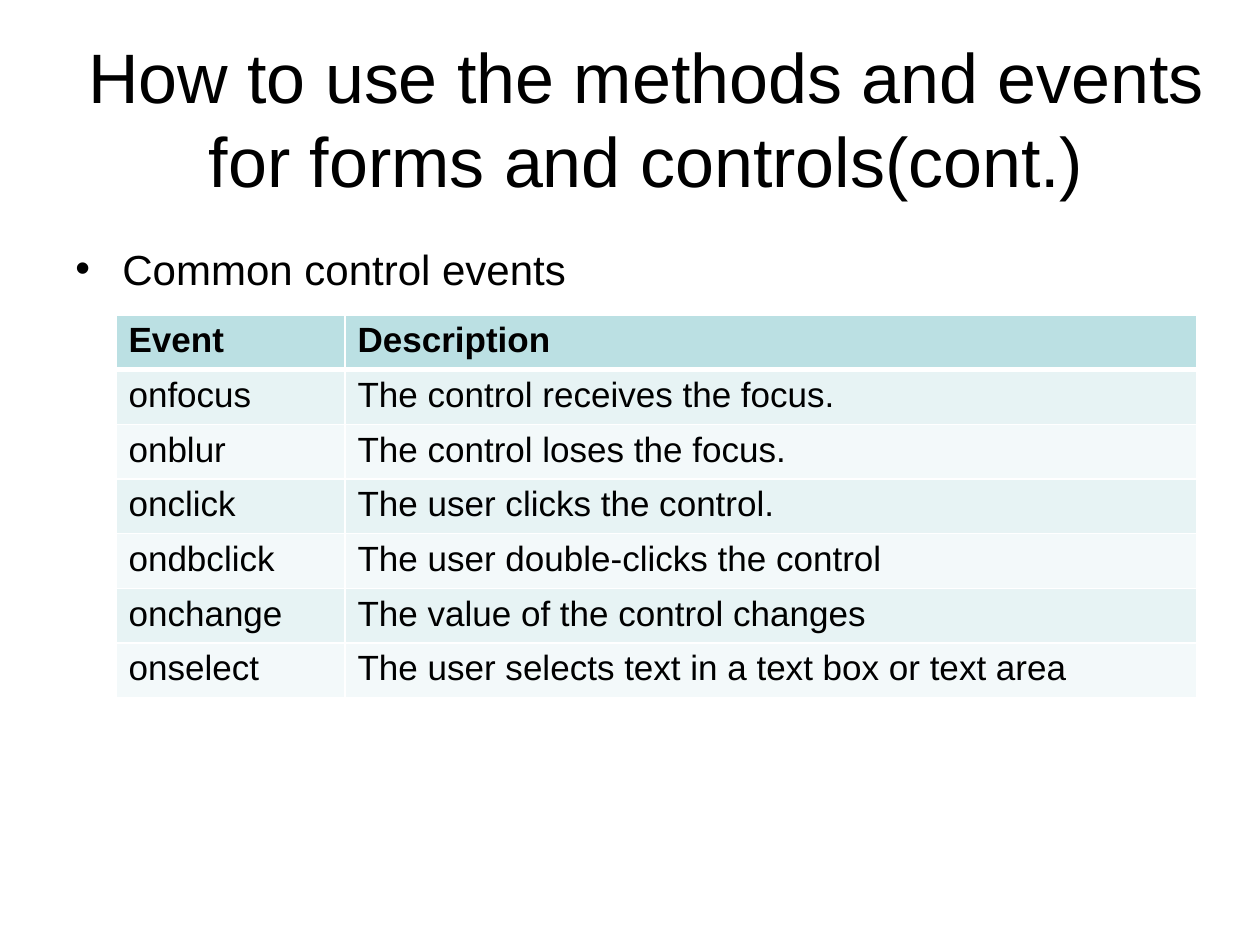
from lxml import etree
from pptx import Presentation
from pptx import util as u
from pptx.dml.color import RGBColor
from pptx.enum import text
from pptx.oxml import ns

PX_PER_INCH = 126
FONT = "Arial"
BLACK = RGBColor(0x00, 0x00, 0x00)
WHITE = RGBColor(0xFF, 0xFF, 0xFF)
HEADER_FILL = RGBColor(0xBB, 0xE0, 0xE3)
BAND_FILLS = (RGBColor(0xF3, 0xF9, 0xFA), RGBColor(0xE7, 0xF3, 0xF4))

TITLE = "How to use the methods and events for forms and controls(cont.)"
EVENTS = [
    ("Event", "Description"),
    ("onfocus", "The control receives the focus."),
    ("onblur", "The control loses the focus."),
    ("onclick", "The user clicks the control."),
    ("ondbclick", "The user double-clicks the control"),
    ("onchange", "The value of the control changes"),
    ("onselect", "The user selects text in a text box or text area"),
]
COLUMN_WIDTHS = (229, 852)
ROW_HEIGHT = 52


def px(length):
    return u.Emu(round(length * u.Inches(1) / PX_PER_INCH))


def format_runs(paragraph, size, bold=False):
    for run in paragraph.runs:
        run.font.name = FONT
        run.font.size = u.Pt(size)
        run.font.bold = bold
        run.font.color.rgb = BLACK


def add_text(slide, box, content, size, anchor=text.MSO_ANCHOR.TOP):
    """Add a wrapped text box and return its paragraph."""
    frame = slide.shapes.add_textbox(*map(px, box)).text_frame
    frame.word_wrap = True
    frame.vertical_anchor = anchor
    frame.text = content
    paragraph = frame.paragraphs[0]
    format_runs(paragraph, size)
    return paragraph


def add_bullet(paragraph, indent):
    properties = paragraph._p.get_or_add_pPr()
    properties.set("marL", str(px(indent)))
    properties.set("indent", str(-px(indent)))
    font = etree.SubElement(properties, ns.qn("a:buFont"))
    font.set("typeface", FONT)
    etree.SubElement(properties, ns.qn("a:buChar")).set("char", "•")


def add_borders(cell, top, bottom):
    """Draw white borders; the side borders are 1 pt wide."""
    properties = cell._tc.get_or_add_tcPr()
    for side, width in (("L", 1), ("R", 1), ("T", top), ("B", bottom)):
        line = etree.SubElement(properties, ns.qn(f"a:ln{side}"))
        line.set("w", str(u.Pt(width)))
        fill = etree.SubElement(line, ns.qn("a:solidFill"))
        etree.SubElement(fill, ns.qn("a:srgbClr")).set("val", str(WHITE))


def add_event_table(slide, left, top):
    size = (sum(COLUMN_WIDTHS), ROW_HEIGHT * len(EVENTS))
    table = slide.shapes.add_table(
        len(EVENTS), len(COLUMN_WIDTHS), *map(px, (left, top, *size))
    ).table
    for column, width in zip(table.columns, COLUMN_WIDTHS):
        column.width = px(width)
    for row_index, values in enumerate(EVENTS):
        is_header = row_index == 0
        table.rows[row_index].height = px(ROW_HEIGHT)
        for cell, value in zip(table.rows[row_index].cells, values):
            cell.text = value
            format_runs(cell.text_frame.paragraphs[0], 20, bold=is_header)
            add_borders(cell, 3 if row_index == 1 else 1, 3 if is_header else 1)
            cell.fill.solid()
            cell.fill.fore_color.rgb = (
                HEADER_FILL if is_header else BAND_FILLS[row_index % 2]
            )


def main():
    presentation = Presentation()
    presentation.slide_width = px(1260)
    presentation.slide_height = px(945)
    slide = presentation.slides.add_slide(presentation.slide_layouts[6])

    title = add_text(slide, (63, 38, 1166, 158), TITLE, 40, text.MSO_ANCHOR.MIDDLE)
    title.alignment = text.PP_ALIGN.CENTER
    body = add_text(slide, (63, 237, 1166, 624), "Common control events", 24)
    add_bullet(body, 47)
    add_event_table(slide, 116, 315)

    presentation.save("out.pptx")


if __name__ == "__main__":
    main()
